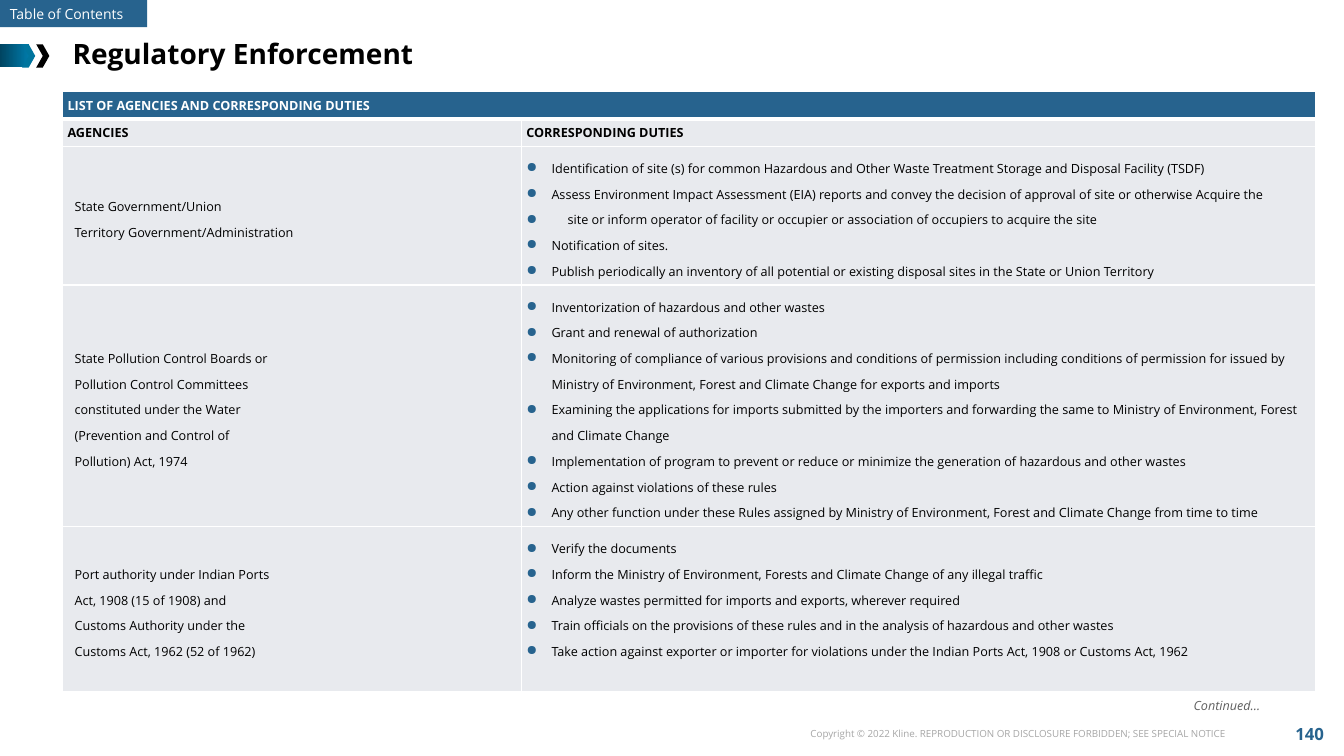
"""Build the Regulatory Enforcement slide."""
from dataclasses import dataclass
from math import cos, radians, sin

from lxml import etree
from pptx import Presentation
from pptx.dml.color import RGBColor
from pptx.enum.shapes import MSO_SHAPE
from pptx.enum.text import MSO_ANCHOR, PP_ALIGN
from pptx.oxml.ns import qn
from pptx.util import Inches, Pt

RECTANGLE, CHEVRON = MSO_SHAPE.RECTANGLE, MSO_SHAPE.CHEVRON
LEFT, CENTER, RIGHT = PP_ALIGN.LEFT, PP_ALIGN.CENTER, PP_ALIGN.RIGHT
TOP, MIDDLE = MSO_ANCHOR.TOP, MSO_ANCHOR.MIDDLE
FONT = "Open Sans"
BLUE, PALE, WHITE, BLACK, GRAY = "27638E", "E8EAEE", "FFFFFF", "000000", "606060"
COLUMN_WIDTHS = (4.55, 7.88)
ROW_HEIGHTS = (0.27, 0.27, 1.37, 2.39, 1.62)
HEADER_MARGINS = (0.05, 0.05, 0.05, 0.05)
AGENCY_MARGINS = (0.12, 0.04, 0.04, 0.04)


@dataclass
class Duty:
    """A bulleted duty and the distance from its bullet to its text."""
    text: str
    indent: float = 0.25


@dataclass
class Agency:
    """An agency, its duties and the space below them."""
    lines: list[str]
    duties: list[Duty]
    bottom: float = 0.05


@dataclass
class Label:
    """A text box with its place and text format."""
    text: str
    box: tuple[float, float, float, float]
    size: float
    color: str
    bold: bool = False
    italic: bool = False
    align: PP_ALIGN = LEFT
    anchor: MSO_ANCHOR = MIDDLE


AGENCIES = [
    Agency(
        ["State Government/Union", "Territory Government/Administration"],
        [Duty("Identification of site (s) for common Hazardous and Other Waste Treatment Storage and Disposal Facility (TSDF)"),
         Duty("Assess Environment Impact Assessment (EIA) reports and convey the decision of approval of site or otherwise Acquire the"),
         Duty("site or inform operator of facility or occupier or association of occupiers to acquire the site", 0.41),
         Duty("Notification of sites."),
         Duty("Publish periodically an inventory of all potential or existing disposal sites in the State or Union Territory")]),
    Agency(
        ["State Pollution Control Boards or", "Pollution Control Committees", "constituted under the Water",
         "(Prevention and Control of", "Pollution) Act, 1974"],
        [Duty("Inventorization of hazardous and other wastes"),
         Duty("Grant and renewal of authorization"),
         Duty("Monitoring of compliance of various provisions and conditions of permission including conditions of "
              "permission for issued by Ministry of Environment, Forest and Climate Change for exports and imports"),
         Duty("Examining the applications for imports submitted by the importers and forwarding the same to "
              "Ministry of Environment, Forest and Climate Change"),
         Duty("Implementation of program to prevent or reduce or minimize the generation of hazardous and other wastes"),
         Duty("Action against violations of these rules"),
         Duty("Any other function under these Rules assigned by Ministry of Environment, Forest and Climate Change from time to time")]),
    Agency(
        ["Port authority under Indian Ports", "Act, 1908 (15 of 1908) and", "Customs Authority under the",
         "Customs Act, 1962 (52 of 1962)"],
        [Duty("Verify the documents"),
         Duty("Inform the Ministry of Environment, Forests and Climate Change of any illegal traffic"),
         Duty("Analyze wastes permitted for imports and exports, wherever required"),
         Duty("Train officials on the provisions of these rules and in the analysis of hazardous and other wastes"),
         Duty("Take action against exporter or importer for violations under the Indian Ports Act, 1908 or Customs Act, 1962")],
        bottom=0.31),
]
LABELS = [
    Label("140", (12.68, 7.07, 0.62, 0.43), 12, BLUE, bold=True, align=CENTER),
    Label("Copyright © 2022 Kline. REPRODUCTION OR DISCLOSURE FORBIDDEN; SEE SPECIAL NOTICE",
          (7.71, 7.17, 4.54, 0.22), 7, "A6A6A6", align=RIGHT, anchor=TOP),
    Label("Continued…", (11.74, 6.86, 0.98, 0.27), 9, GRAY, italic=True),
]


def rgb(color: str) -> RGBColor:
    """Turn a hex string into a colour."""
    return RGBColor.from_string(color)


def write(paragraph, text: str, *, size: float = 9, color: str = BLACK, bold: bool = False,
          italic: bool = False, align: PP_ALIGN = LEFT, spacing: float = 1.0) -> None:
    """Write formatted text into a paragraph."""
    paragraph.alignment, paragraph.line_spacing = align, spacing
    run = paragraph.add_run()
    run.text = text
    font = run.font
    font.name, font.size, font.bold, font.italic = FONT, Pt(size), bold, italic
    font.color.rgb = rgb(color)


def add_bullet(paragraph, indent: float) -> None:
    """Give a paragraph a hanging blue bullet."""
    properties = paragraph._p.get_or_add_pPr()
    properties.set("marL", str(Inches(indent)))
    properties.set("indent", str(-Inches(indent)))
    bullet_color = etree.SubElement(properties, qn("a:buClr"))
    etree.SubElement(bullet_color, qn("a:srgbClr"), val=BLUE)
    etree.SubElement(properties, qn("a:buSzPct"), val="110000")
    etree.SubElement(properties, qn("a:buChar"), char="●")


def add_block(slide, preset: MSO_SHAPE, box: tuple[float, ...], color: str):
    """Add a filled shape without outline or shadow."""
    shape = slide.shapes.add_shape(preset, *map(Inches, box))
    shape.shadow.inherit = False
    shape.fill.solid()
    shape.fill.fore_color.rgb = rgb(color)
    shape.line.fill.background()
    return shape


def add_label(slide, label: Label) -> None:
    """Add a text box."""
    frame = slide.shapes.add_textbox(*map(Inches, label.box)).text_frame
    frame.word_wrap, frame.vertical_anchor = True, label.anchor
    write(frame.paragraphs[0], label.text, size=label.size, color=label.color,
          bold=label.bold, italic=label.italic, align=label.align)


def add_marks(slide) -> None:
    """Add the contents tab and the arrow marks beside the title."""
    band = add_block(slide, RECTANGLE, (0, 0.44, 0.29, 0.23), "004461")
    band.fill.gradient()
    band.fill.gradient_angle = 0
    for stop, color in zip(band.fill.gradient_stops, ("004461", "007BAA")):
        stop.color.rgb = rgb(color)
    add_block(slide, CHEVRON, (0.22, 0.44, 0.13, 0.23), "00759E")
    add_block(slide, CHEVRON, (0.36, 0.44, 0.13, 0.23), BLACK)
    frame = add_block(slide, RECTANGLE, (0, 0, 1.46, 0.27), BLUE).text_frame
    frame.word_wrap, frame.vertical_anchor = False, MIDDLE
    write(frame.paragraphs[0], "Table of Contents", size=10, color=WHITE)


def style_cell(cell, fill: str, margins: tuple[float, ...], bottom_border: float = 1) -> None:
    """Set the borders, fill and margins of a cell."""
    properties = cell._tc.get_or_add_tcPr()
    for side, width in (("L", 1), ("R", 1), ("T", 1), ("B", bottom_border)):
        border = etree.SubElement(properties, qn(f"a:ln{side}"), w=str(Pt(width)))
        border_fill = etree.SubElement(border, qn("a:solidFill"))
        etree.SubElement(border_fill, qn("a:srgbClr"), val=WHITE)
    cell.fill.solid()
    cell.fill.fore_color.rgb = rgb(fill)
    cell.margin_left, cell.margin_top, cell.margin_right, cell.margin_bottom = map(Inches, margins)
    cell.vertical_anchor = MIDDLE


def next_paragraph(frame, index: int):
    """Return the first paragraph of a frame, or a new one after it."""
    return frame.add_paragraph() if index else frame.paragraphs[0]


def add_agency_table(slide) -> None:
    """Add the table of agencies and duties."""
    table = slide.shapes.add_table(
        len(ROW_HEIGHTS), len(COLUMN_WIDTHS), Inches(0.62), Inches(0.91),
        Inches(sum(COLUMN_WIDTHS)), Inches(sum(ROW_HEIGHTS))).table
    table.first_row = table.horz_banding = False
    for column, width in zip(table.columns, COLUMN_WIDTHS):
        column.width = Inches(width)
    for row, height in zip(table.rows, ROW_HEIGHTS):
        row.height = Inches(height)
    table.cell(0, 0).merge(table.cell(0, 1))
    for cell in table.rows[0].cells:
        style_cell(cell, BLUE, HEADER_MARGINS, bottom_border=3)
    write(table.cell(0, 0).text_frame.paragraphs[0], "LIST OF AGENCIES AND CORRESPONDING DUTIES", color=WHITE, bold=True)
    for cell, heading in zip(table.rows[1].cells, ("AGENCIES", "CORRESPONDING DUTIES")):
        style_cell(cell, PALE, HEADER_MARGINS)
        write(cell.text_frame.paragraphs[0], heading, bold=True)
    for row_index, agency in enumerate(AGENCIES, start=2):
        name_cell, duty_cell = table.cell(row_index, 0), table.cell(row_index, 1)
        style_cell(name_cell, PALE, AGENCY_MARGINS)
        style_cell(duty_cell, PALE, (*HEADER_MARGINS[:3], agency.bottom))
        for index, line in enumerate(agency.lines):
            write(next_paragraph(name_cell.text_frame, index), line, spacing=1.5)
        for index, duty in enumerate(agency.duties):
            paragraph = next_paragraph(duty_cell.text_frame, index)
            add_bullet(paragraph, duty.indent)
            write(paragraph, duty.text, spacing=1.5)


def arc(radius: float, angles: range) -> list[tuple[float, float]]:
    """Return points on a circle around the continue icon's centre."""
    return [(11.66 + radius * cos(radians(angle)), 6.99 + radius * sin(radians(angle))) for angle in angles]


def add_continue_icon(slide) -> None:
    """Add the open ring with an arrow inside."""
    points = [(11.71, 6.99), (11.66, 6.94), (11.65, 6.96), (11.68, 6.98), (11.53, 6.98),
              *arc(0.135, range(180, -91, -6)), *arc(0.115, range(-90, 175, 6)),
              (11.55, 7), (11.68, 7), (11.65, 7.02), (11.66, 7.04)]
    builder = slide.shapes.build_freeform(*points[0], scale=Inches(1))
    builder.add_line_segments(points[1:], close=True)
    icon = builder.convert_to_shape()
    icon.shadow.inherit = False
    icon.fill.solid()
    icon.fill.fore_color.rgb = rgb(GRAY)
    icon.line.fill.background()


def main() -> None:
    """Build and save the presentation."""
    presentation = Presentation()
    presentation.slide_width, presentation.slide_height = Inches(13.33), Inches(7.5)
    slide = presentation.slides.add_slide(presentation.slide_layouts[5])
    add_marks(slide)
    title = slide.shapes.title
    title.left, title.top, title.width, title.height = map(Inches, (0.62, 0.31, 12, 0.44))
    title.text_frame.vertical_anchor = MIDDLE
    write(title.text_frame.paragraphs[0], "Regulatory Enforcement", size=20, bold=True)
    add_agency_table(slide)
    add_continue_icon(slide)
    for label in LABELS:
        add_label(slide, label)
    presentation.save("out.pptx")


if __name__ == "__main__":
    main()
